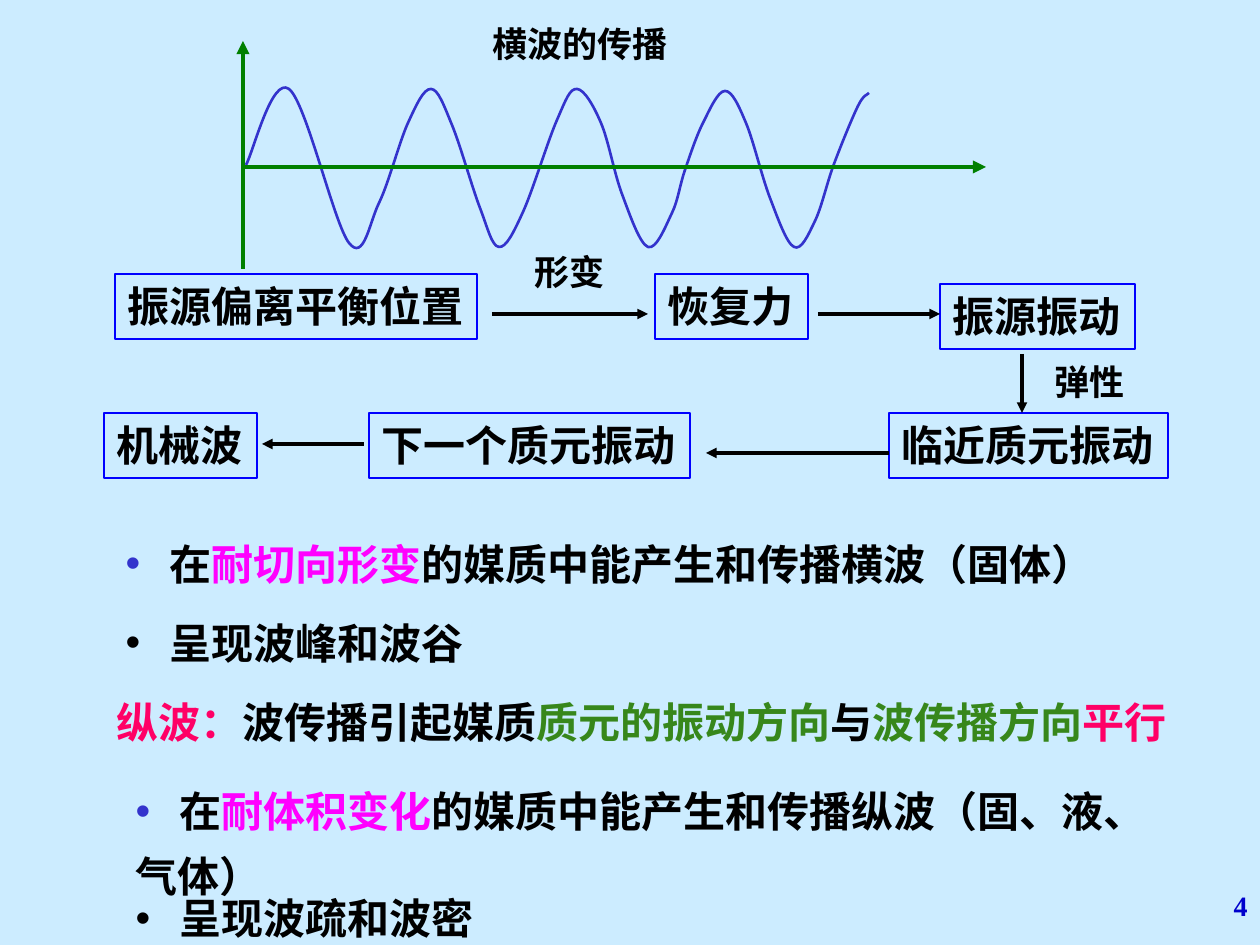
from lxml import etree
from pptx import Presentation
from pptx import util as u
from pptx.dml.color import RGBColor
from pptx.enum import shapes, text
from pptx.oxml import ns

SCALE = 914400 / 126  # EMU in one px
FONT = "Times New Roman"
BLACK, BLUE, INDIGO, GREEN = "000000", "0000FF", "3333CC", "008000"
MAGENTA, PINK, LEAF = "FF00FF", "FF0066", "37871B"


def px(length):
    return u.Emu(round(length * SCALE))


def color(value):
    return RGBColor.from_string(value)


def add_element(parent, tag, **attributes):
    return etree.SubElement(parent, ns.qn(tag), attributes)


def place(shape, box):
    for name, length in zip(("left", "top", "width", "height"), box):
        setattr(shape, name, px(length))


def add_bullet(paragraph, bullet_color):
    """A bullet at the margin, with the text starting at a tab stop."""
    properties = paragraph._p.get_or_add_pPr()
    bullet = add_element(properties, "a:buClr")
    add_element(bullet, "a:srgbClr", val=bullet_color)
    add_element(properties, "a:buChar", char="•")
    tabs = add_element(properties, "a:tabLst")
    add_element(tabs, "a:tab", pos=str(px(44)), algn="l")


def write(shape, runs, size=24, wrap=True, bullet=None, indent=0,
          align=text.PP_ALIGN.LEFT, spacing=1.0):
    frame = shape.text_frame
    frame_format = {"word_wrap": wrap, "auto_size": text.MSO_AUTO_SIZE.NONE,
                    "vertical_anchor": text.MSO_ANCHOR.TOP}
    for name, value in frame_format.items():
        setattr(frame, name, value)
    paragraph = frame.paragraphs[0]
    properties = paragraph._p.get_or_add_pPr()
    properties.set("marL", str(px(indent)))
    properties.set("indent", str(-px(indent)))
    if bullet:
        add_bullet(paragraph, bullet)
    paragraph_format = {"alignment": align, "line_spacing": spacing,
                        "space_before": u.Pt(0)}
    for name, value in paragraph_format.items():
        setattr(paragraph, name, value)
    for words, run_color in runs:
        run = paragraph.add_run()
        run.text = words
        font_format = {"name": FONT, "size": u.Pt(size), "bold": True}
        for name, value in font_format.items():
            setattr(run.font, name, value)
        run.font.color.rgb = color(run_color)


def add_label(slide, box, runs, **options):
    label = slide.shapes.add_textbox(*map(px, box))
    write(label, runs, **options)


def add_step(slide, box, words):
    step = slide.shapes.add_shape(shapes.MSO_SHAPE.RECTANGLE, *map(px, box))
    step.shadow.inherit = False
    step.fill.background()
    step.line.color.rgb = color(BLUE)
    step.line.width = u.Pt(0.75)
    write(step, [(words, BLACK)], wrap=False)


def add_arrow(slide, ends, line_color=BLACK, width=2):
    arrow = slide.shapes.add_connector(
        shapes.MSO_CONNECTOR.STRAIGHT, *map(px, ends))
    arrow.line.color.rgb = color(line_color)
    arrow.line.width = u.Pt(width)
    add_element(arrow.line._get_or_add_ln(), "a:tailEnd", type="triangle")
    add_element(arrow._element.spPr, "a:effectLst")


def smooth_controls(points):
    """Bezier points of a Catmull-Rom curve through all the points."""
    padded = [points[0], *points, points[-1]]
    controls = []
    for before, start, end, after in zip(
            padded, padded[1:], padded[2:], padded[3:]):
        controls += [
            tuple(s + (e - b) / 6 for b, s, e in zip(before, start, end)),
            tuple(e - (a - s) / 6 for s, e, a in zip(start, end, after)),
            end]
    return controls


def add_wave(slide, points):
    fine = 10  # drawing units in one px
    controls = [(x * fine, y * fine) for x, y in smooth_controls(points)]
    start_x, start_y = points[0]
    builder = slide.shapes.build_freeform(
        start_x * fine, start_y * fine, scale=SCALE / fine)
    builder.add_line_segments(controls, close=False)
    wave = builder.convert_to_shape()
    wave.shadow.inherit = False
    wave.fill.background()
    wave.line.color.rgb = color(INDIGO)
    wave.line.width = u.Pt(1.5)
    # Every three straight segments become one curve
    segments = list(wave._element.iter(ns.qn("a:lnTo")))
    path = segments[0].getparent()
    for first in range(0, len(segments), 3):
        curve = add_element(path, "a:cubicBezTo")
        for segment in segments[first:first + 3]:
            curve.append(segment[0])
            path.remove(segment)


def main():
    presentation = Presentation()
    presentation.slide_width, presentation.slide_height = px(1260), px(945)
    slide = presentation.slides.add_slide(presentation.slide_layouts[4])
    slide.background.fill.solid()
    slide.background.fill.fore_color.rgb = color("CCECFF")

    # Title and wave diagram
    title = slide.shapes.title
    place(title, (480, 16, 209, 54))
    write(title, [("横波的传播", BLACK)], size=20)
    add_wave(slide, [
        (246, 165), (289, 89), (349, 243), (379, 203), (408, 123), (431, 89),
        (452, 125), (480, 208), (499, 247), (523, 212), (557, 120), (577, 89),
        (601, 123), (622, 194), (648, 247), (672, 213), (685, 170), (703, 123),
        (725, 91), (746, 123), (770, 198), (794, 247), (815, 221), (834, 164),
        (858, 106), (869, 93)])
    for axis in ((242, 167, 986, 167), (243, 269, 243, 41)):
        add_arrow(slide, axis, GREEN, 2.5)

    # Chain of causes
    for left, top, width, words in (
            (115, 274, 362, "振源偏离平衡位置"), (655, 274, 153, "恢复力"),
            (940, 284, 195, "振源振动"), (889, 413, 279, "临近质元振动"),
            (369, 413, 321, "下一个质元振动"), (104, 413, 153, "机械波")):
        add_step(slide, (left, top, width, 65), words)
    for ends in ((492, 314, 648, 314), (818, 314, 940, 314),
                 (1022, 354, 1022, 413), (889, 453, 706, 453),
                 (364, 444, 262, 444)):
        add_arrow(slide, ends)
    for left, top, words in ((522, 244, "形变"), (1042, 354, "弹性")):
        add_label(slide, (left, top, 96, 54), [(words, BLACK)],
                  size=20, wrap=False)

    # Bulleted statements
    statements = (
        ((113, 532, 1062, 63), INDIGO, 1.0,
         [("\t在", BLACK), ("耐切向形变", MAGENTA),
          ("的媒质中能产生和传播横波（固体）", BLACK)]),
        ((113, 611, 1012, 63), BLACK, 1.0, [("\t呈现波峰和波谷", BLACK)]),
        ((123, 764, 1071, 144), INDIGO, 1.3,
         [("\t在", BLACK), ("耐体积变化", MAGENTA),
          ("的媒质中能产生和传播纵波（固、液、气体）", BLACK)]),
        ((123, 886, 1022, 63), BLACK, 1.0, [("\t呈现波疏和波密", BLACK)]))
    for index, (box, bullet, spacing, runs) in enumerate(statements, 1):
        body = slide.placeholders[index]
        place(body, box)
        write(body, runs, bullet=bullet, spacing=spacing)

    # Definition and slide number
    add_label(slide, (104, 690, 1143, 63), [
        ("纵波：", PINK), ("波传播引起媒质", BLACK), ("质元的振动方向", LEAF),
        ("与", BLACK), ("波传播方向", LEAF), ("平行", PINK)], indent=63)
    add_label(slide, (998, 882, 262, 63), [("4", "0000CC")], size=16,
              align=text.PP_ALIGN.RIGHT)
    presentation.save("out.pptx")


if __name__ == "__main__":
    main()
